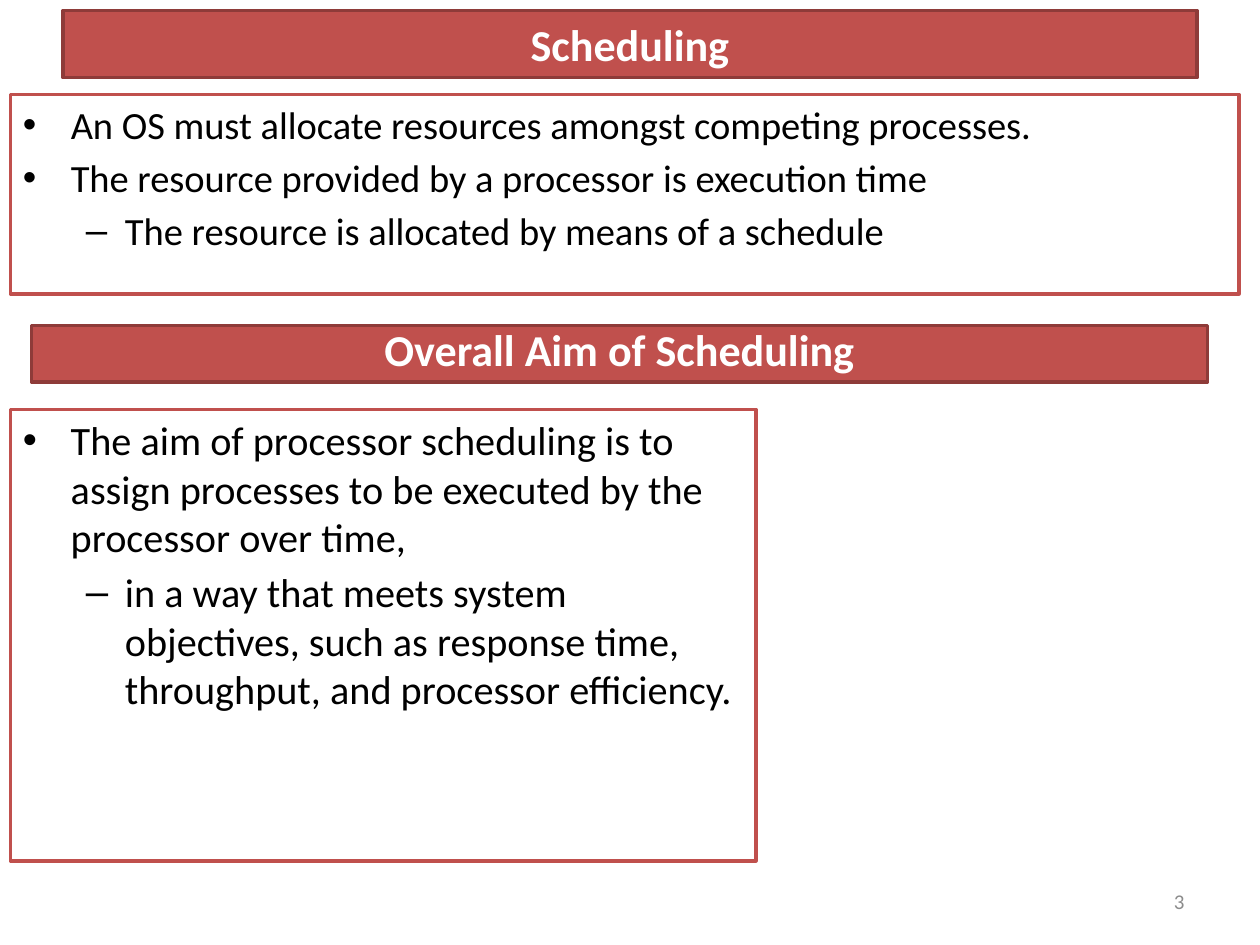
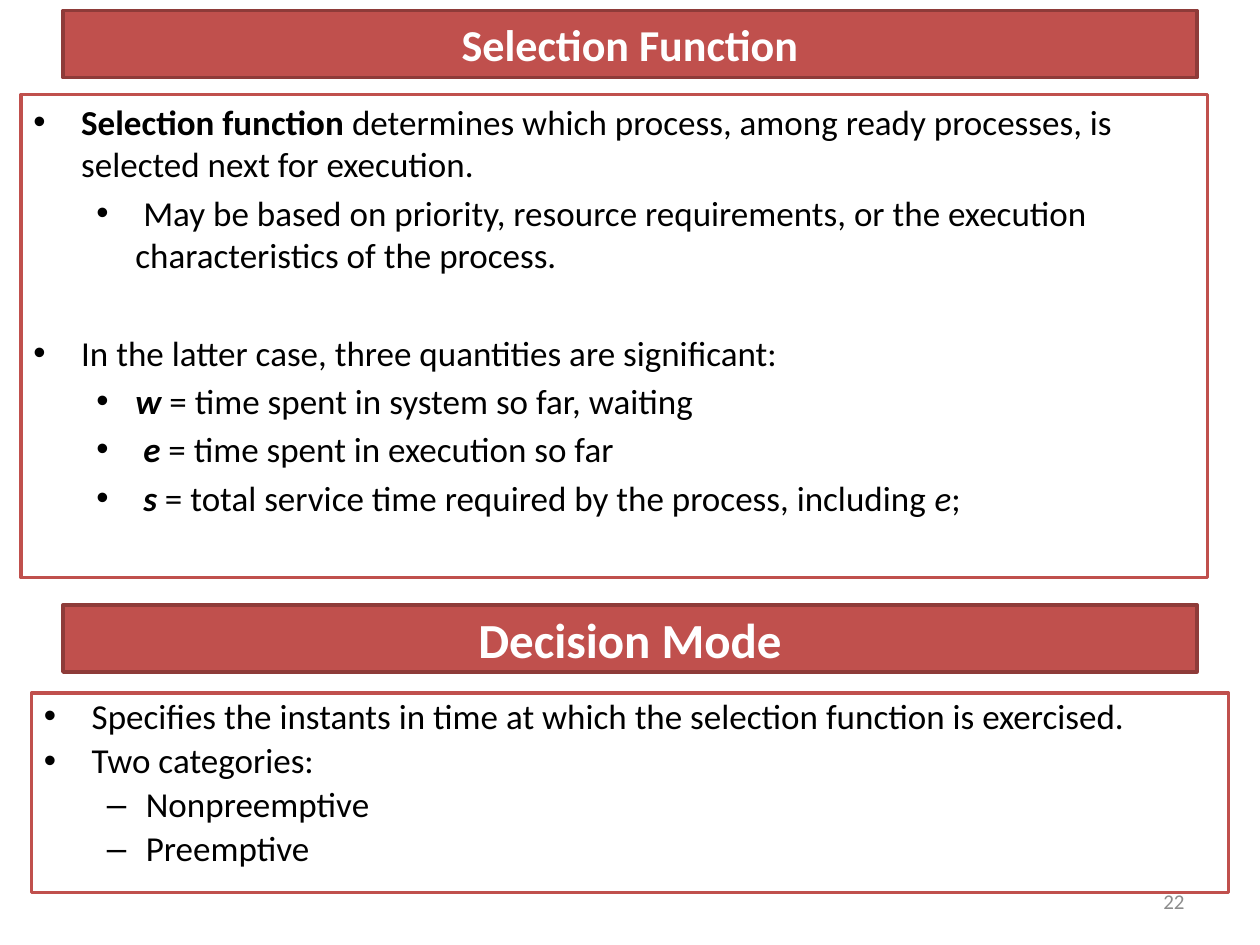
from lxml.etree import SubElement
from pptx import Presentation
from pptx.dml.color import RGBColor
from pptx.enum.shapes import MSO_SHAPE as Shape
from pptx.enum.text import MSO_ANCHOR as Anchor, MSO_AUTO_SIZE as AutoSize, PP_ALIGN as Align
from pptx.oxml.ns import qn
from pptx.util import Inches, Pt

WHITE = RGBColor(0xFF, 0xFF, 0xFF)
BLACK = RGBColor(0x00, 0x00, 0x00)
RED = RGBColor(0xC0, 0x50, 0x4D)
DARK_RED = RGBColor(0x8E, 0x3B, 0x39)
GREY = RGBColor(0x8C, 0x8C, 0x8C)

FONT = "Calibri"
HEADING_SIZE = 25.2
COLUMNS, ROWS = 120, 90
CELL = Inches(10) // COLUMNS
HEADING_BAND = (6, 1, 108, 6.4)
PAGE_NUMBER_AREA = (86, 83.4, 28, 4.8)
INDENTS = [(0.38, -0.38), (0.81, -0.31)]
SPACE_SHARE = 0.18


def on_grid(area):
    return [round(cells * CELL) for cells in area]


def set_font(paragraph, size, color, bold=None):
    font = paragraph.font
    font.name, font.size, font.bold = FONT, Pt(size), bold
    font.color.rgb = color


def paint(shape, fill, border):
    shape.fill.solid()
    shape.fill.fore_color.rgb = fill
    shape.line.color.rgb = border
    shape.line.width = Pt(2)


def add_rectangle(slide, area):
    rectangle = slide.shapes.add_shape(Shape.RECTANGLE, *on_grid(area))
    rectangle.shadow.inherit = False
    return rectangle


def format_heading(band, text, size=HEADING_SIZE, line_spacing=None):
    paint(band, RED, DARK_RED)
    frame = band.text_frame
    frame.text = text
    frame.word_wrap = True
    frame.auto_size = AutoSize.NONE
    frame.vertical_anchor = Anchor.MIDDLE
    paragraph = frame.paragraphs[0]
    paragraph.alignment = Align.CENTER
    paragraph.line_spacing = line_spacing
    set_font(paragraph, size, WHITE, True)


def add_heading(slide, area, text, **style):
    format_heading(add_rectangle(slide, area), text, **style)


def set_bullet(paragraph, level, mark):
    paragraph.level = level
    properties = paragraph._p.get_or_add_pPr()
    left, hanging = INDENTS[level]
    properties.set("marL", str(Inches(left)))
    properties.set("indent", str(Inches(hanging)))
    SubElement(properties, qn("a:buFont")).set("typeface", "Arial")
    SubElement(properties, qn("a:buChar")).set("char", mark)


def add_bullets(slide, area, size, items, line_spacing=None, gaps=None):
    panel = add_rectangle(slide, area)
    paint(panel, WHITE, RED)
    frame = panel.text_frame
    frame.word_wrap = True
    frame.vertical_anchor = Anchor.TOP
    for index, (level, mark, *parts) in enumerate(items):
        paragraph = frame.add_paragraph() if index else frame.paragraphs[0]
        paragraph.alignment = Align.LEFT
        paragraph.line_spacing = line_spacing
        paragraph.space_before = Pt((gaps or {}).get(index, size * SPACE_SHARE))
        set_bullet(paragraph, level, mark)
        set_font(paragraph, size, BLACK)
        for part in parts:
            text, emphasis = (part, "") if isinstance(part, str) else part
            run = paragraph.add_run()
            run.text = text
            if "b" in emphasis:
                run.font.bold = True
            if "i" in emphasis:
                run.font.italic = True


def add_page_number(slide, number):
    frame = slide.shapes.add_textbox(*on_grid(PAGE_NUMBER_AREA)).text_frame
    frame.text = str(number)
    frame.word_wrap = True
    frame.vertical_anchor = Anchor.MIDDLE
    paragraph = frame.paragraphs[0]
    paragraph.alignment = Align.RIGHT
    set_font(paragraph, 12, GREY)


def add_titled_slide(deck, title, number):
    slide = deck.slides.add_slide(deck.slide_layouts.get_by_name("Title Only"))
    band = slide.shapes.title
    band.left, band.top, band.width, band.height = on_grid(HEADING_BAND)
    format_heading(band, title)
    add_page_number(slide, number)
    return slide


def build_scheduling(deck):
    slide = add_titled_slide(deck, "Scheduling", 3)
    add_bullets(slide, (1, 9, 117, 19), 22, [
        (0, "•", "An OS must allocate resources amongst competing processes."),
        (0, "•", "The resource provided by a processor is execution time"),
        (1, "–", "The resource is allocated by means of a schedule"),
    ])
    add_heading(slide, (3, 31, 112, 5.4), "Overall Aim of Scheduling", line_spacing=0.8)
    add_bullets(slide, (1, 39, 71, 43), 23, [
        (0, "•", "The aim of processor scheduling is to assign processes "
                 "to be executed by the processor over time,"),
        (1, "–", "in a way that meets system objectives, such as response time, "
                 "throughput, and processor efficiency."),
    ])


def build_selection_function(deck):
    slide = add_titled_slide(deck, "Selection Function", 22)
    add_bullets(slide, (2, 9, 113, 46), 20, [
        (0, "•", ("Selection function ", "b"),
         "determines which process, among ready processes, is selected next for execution."),
        (1, "•", " May be based on priority, resource requirements, "
                 "or the execution characteristics of the process."),
        (0, "•", "In the latter case, three quantities are significant:"),
        (1, "•", ("w ", "bi"), "= time spent in system so far, waiting"),
        (1, "•", (" e", "bi"), " = time spent in execution so far"),
        (1, "•", (" s", "bi"), " = total service time required by the process, including ",
         ("e", "i"), ";"),
    ], gaps={2: 32})
    add_heading(slide, (6, 57.6, 108, 6.4), "Decision Mode", size=28)
    add_bullets(slide, (3, 66, 114, 19), 20, [
        (0, "•", "Specifies the instants in time at which the selection function is exercised."),
        (0, "•", "Two categories:"),
        (1, "–", "Nonpreemptive"),
        (1, "–", "Preemptive"),
    ], line_spacing=0.9)


def main():
    deck = Presentation()
    deck.slide_width, deck.slide_height = COLUMNS * CELL, ROWS * CELL
    build_scheduling(deck)
    build_selection_function(deck)
    deck.save("out.pptx")


if __name__ == "__main__":
    main()
